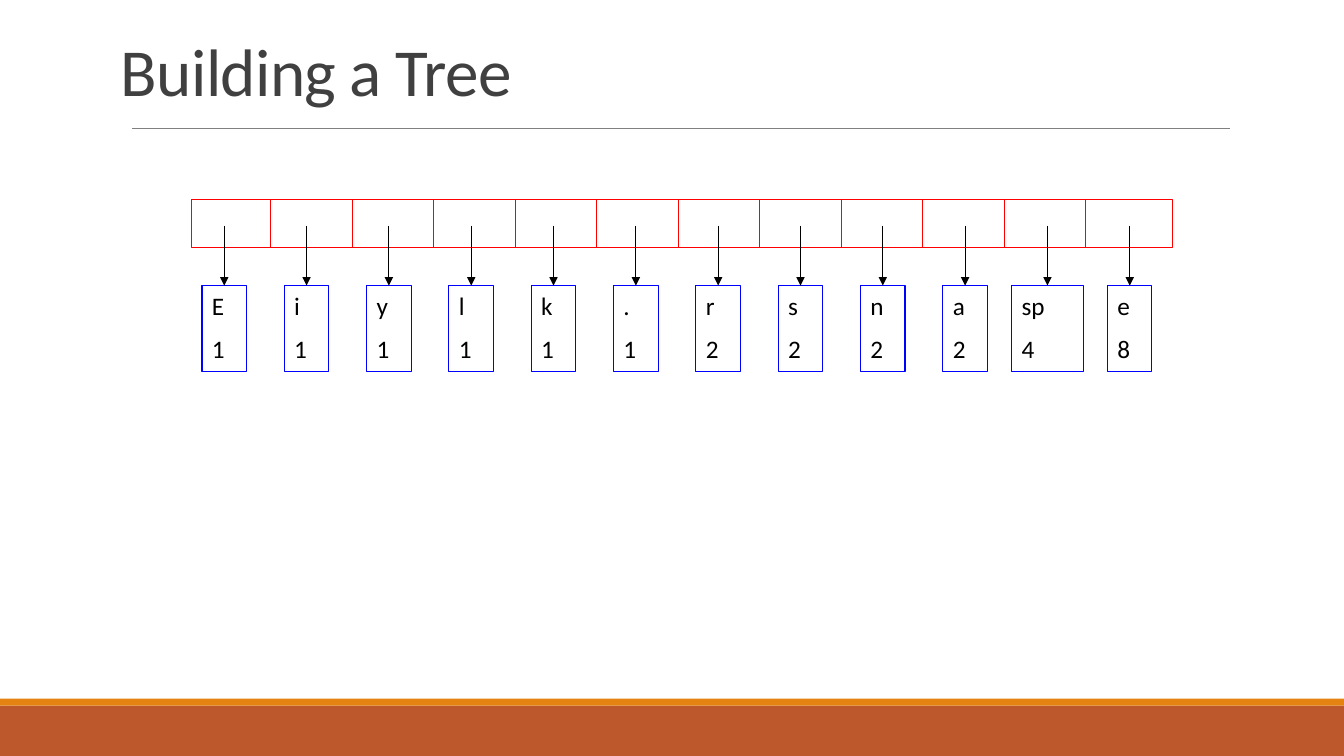
from dataclasses import dataclass

from lxml.etree import SubElement
from pptx import Presentation
from pptx.dml.color import RGBColor
from pptx.enum.shapes import MSO_CONNECTOR, MSO_SHAPE
from pptx.enum.text import MSO_ANCHOR, MSO_AUTO_SIZE, PP_ALIGN
from pptx.oxml.ns import qn
from pptx.shapes.autoshape import Shape
from pptx.shapes.connector import Connector
from pptx.slide import Slide
from pptx.util import Pt


@dataclass(frozen=True)
class Theme:
    font: str = "Calibri"
    title_size: float = 48
    node_size: float = 18
    title: str = "404040"
    text: str = "000000"
    white: str = "FFFFFF"
    rule: str = "808080"
    queue: str = "FF0000"
    node: str = "0000FF"
    band: str = "BD582C"
    band_edge: str = "E48312"
    thin: float = 0.75
    hairline: float = 0.5


@dataclass(frozen=True)
class Box:
    left: float
    top: float
    width: float
    height: float


@dataclass(frozen=True)
class Node:
    symbol: str
    frequency: int
    width: float = 31.8


THEME = Theme()
SLIDE_WIDTH, SLIDE_HEIGHT = 960, 540
QUEUE = Box(136.8, 142.4, 700.4, 34.6)
FIRST_DIVIDER, DIVIDER_STEP = 193.4, 58.2
FIRST_CENTER, NODE_STEP = 160.2, 58.8
ARROW_TOP, NODE_TOP, NODE_HEIGHT = 161.2, 204, 61.6
NODES = [
    Node("E", 1), Node("i", 1), Node("y", 1), Node("l", 1),
    Node("k", 1), Node(".", 1), Node("r", 2), Node("s", 2),
    Node("n", 2), Node("a", 2), Node("sp", 4, 51.2), Node("e", 8),
]


def color(value: str) -> RGBColor:
    return RGBColor.from_string(value)


def add_rectangle(slide: Slide, box: Box, fill: str | None = None,
                  line: str | None = None) -> Shape:
    shape = slide.shapes.add_shape(
        MSO_SHAPE.RECTANGLE,
        Pt(box.left), Pt(box.top), Pt(box.width), Pt(box.height))
    shape.shadow.inherit = False
    if fill:
        shape.fill.solid()
        shape.fill.fore_color.rgb = color(fill)
    else:
        shape.fill.background()
    if line:
        shape.line.color.rgb = color(line)
        shape.line.width = Pt(THEME.thin)
    else:
        shape.line.fill.background()
    return shape


def add_line(slide: Slide, start: tuple[float, float], end: tuple[float, float],
             line: str, width: float = THEME.thin) -> Connector:
    connector = slide.shapes.add_connector(
        MSO_CONNECTOR.STRAIGHT, *(Pt(value) for value in start + end))
    connector.line.color.rgb = color(line)
    connector.line.width = Pt(width)
    SubElement(connector._element.spPr, qn("a:effectLst"))
    return connector


def add_title(slide: Slide, text: str) -> None:
    title = slide.shapes.title
    title.left, title.top = Pt(79.2), Pt(4.4)
    title.width, title.height = Pt(792), Pt(77.6)
    frame = title.text_frame
    frame.text = text
    frame.auto_size = MSO_AUTO_SIZE.NONE
    frame.vertical_anchor = MSO_ANCHOR.BOTTOM
    paragraph = frame.paragraphs[0]
    paragraph.alignment = PP_ALIGN.LEFT
    paragraph.line_spacing = 0.85
    run = paragraph.runs[0]
    run.font.name = THEME.font
    run.font.size = Pt(THEME.title_size)
    run.font.color.rgb = color(THEME.title)
    run.font._element.set("spc", "-50")


def add_queue(slide: Slide) -> None:
    add_rectangle(slide, QUEUE, THEME.white, THEME.queue)
    for index in range(len(NODES) - 1):
        x = FIRST_DIVIDER + index * DIVIDER_STEP
        add_line(slide, (x, QUEUE.top), (x, QUEUE.top + QUEUE.height), THEME.queue)


def add_node(slide: Slide, node: Node, center: float) -> None:
    """Draw a tree node and the arrow from its queue cell."""
    box = Box(center - node.width / 2, NODE_TOP, node.width, NODE_HEIGHT)
    shape = add_rectangle(slide, box, line=THEME.node)
    frame = shape.text_frame
    frame.text = f"{node.symbol}\n{node.frequency}"
    frame.vertical_anchor = MSO_ANCHOR.TOP
    for paragraph in frame.paragraphs:
        paragraph.alignment = PP_ALIGN.LEFT
        for run in paragraph.runs:
            run.font.name = THEME.font
            run.font.size = Pt(THEME.node_size)
            run.font.color.rgb = color(THEME.text)
    frame.paragraphs[1].space_before = Pt(THEME.node_size / 2)

    arrow = add_line(slide, (center, ARROW_TOP), (center, NODE_TOP), THEME.text)
    arrow.end_connect(shape, 0)
    SubElement(arrow.line._get_or_add_ln(), qn("a:tailEnd"), type="triangle")


def main() -> None:
    presentation = Presentation()
    presentation.slide_width = Pt(SLIDE_WIDTH)
    presentation.slide_height = Pt(SLIDE_HEIGHT)
    slide = presentation.slides.add_slide(presentation.slide_layouts[5])

    add_rectangle(slide, Box(0, 504, SLIDE_WIDTH, 36), THEME.band)
    add_rectangle(slide, Box(0, 499, SLIDE_WIDTH, 5), THEME.band_edge)
    add_line(slide, (94.4, 91.6), (878.8, 91.6), THEME.rule, THEME.hairline)
    add_title(slide, "Building a Tree")
    add_queue(slide)
    for index, node in enumerate(NODES):
        add_node(slide, node, FIRST_CENTER + index * NODE_STEP)
    presentation.save("out.pptx")


if __name__ == "__main__":
    main()
